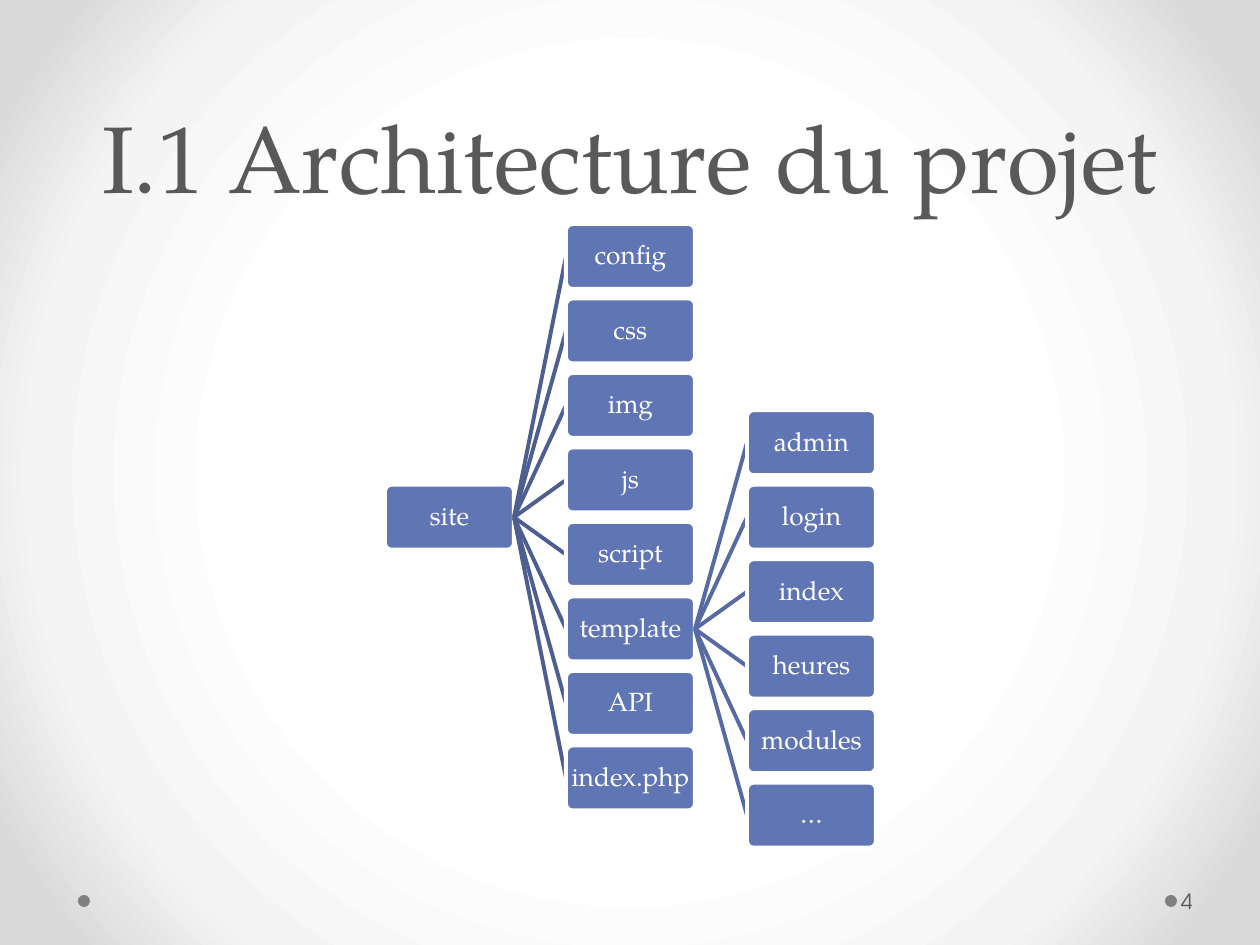
"""Build the project architecture slide with its folder tree."""
import dataclasses

import lxml.etree
import pptx
import pptx.dml.color
import pptx.enum.shapes
import pptx.enum.text
import pptx.oxml
import pptx.oxml.ns
import pptx.slide
import pptx.text.text
import pptx.util
from pptx.shapes.autoshape import Shape

EMU_PER_PX = 914400 / 126
COLORS = {
    "box": "6076B4", "white": "FFFFFF", "text": "595959", "dot": "808080",
    "first branch": "4D5E90", "second branch": "576BA3",
}
BACKGROUND_STOPS = ((50, "FFFFFF"), (76, "F4F4F4"), (92, "DADADA"))
SERIF, SANS = "TeX Gyre Pagella", "TeX Gyre Adventor"
TREE_LEFT, TREE_TOP = 385, 224
BOX_WIDTH, BOX_HEIGHT = 129, 65
COLUMN_STEP, HALF_ROW_STEP = 181, 37.25


@dataclasses.dataclass(frozen=True)
class Branch:
    """Children of one box, stacked from a row counted in half rows."""
    parent: str
    column: int
    first_half_row: int
    color: str
    children: tuple[str, ...]


ROOT, ROOT_HALF_ROW = "site", 7
BRANCHES = (
    Branch(ROOT, 1, 0, "first branch",
           ("config", "css", "img", "js", "script", "template", "API", "index.php")),
    Branch("template", 2, 5, "second branch",
           ("admin", "login", "index", "heures", "modules", "…")),
)


def px(length: float) -> pptx.util.Emu:
    """Turn pixels into EMU."""
    return pptx.util.Emu(round(length * EMU_PER_PX))


def rgb(name: str) -> pptx.dml.color.RGBColor:
    """Look up a named colour."""
    return pptx.dml.color.RGBColor.from_string(COLORS[name])


def write_text(frame: pptx.text.text.TextFrame, text: str, size: int, font: str, color: str,
               alignment: pptx.enum.text.PP_ALIGN, anchor: pptx.enum.text.MSO_ANCHOR) -> None:
    """Fill a text frame with one formatted paragraph."""
    frame.text = text
    frame.auto_size = pptx.enum.text.MSO_AUTO_SIZE.NONE
    frame.vertical_anchor = anchor
    paragraph = frame.paragraphs[0]
    paragraph.alignment = alignment
    for run in paragraph.runs:
        run.font.size = pptx.util.Pt(size)
        run.font.name = font
        run.font.color.rgb = rgb(color)


def paint_background(slide: pptx.slide.Slide) -> None:
    """Give the slide a circular gradient."""
    slide.background.fill.gradient()
    gradient = slide.background._cSld.find(".//" + pptx.oxml.ns.qn("a:gradFill"))
    stops = "".join(
        f'<a:gs pos="{position * 1000}"><a:srgbClr val="{color}"/></a:gs>'
        for position, color in BACKGROUND_STOPS)
    circle = pptx.oxml.parse_xml(
        f'<a:gradFill {pptx.oxml.ns.nsdecls("a")} rotWithShape="1"><a:gsLst>{stops}</a:gsLst>'
        '<a:path path="circle"><a:fillToRect l="50000" t="50000" r="50000" b="50000"/>'
        '</a:path></a:gradFill>')
    gradient.getparent().replace(gradient, circle)


def add_title(slide: pptx.slide.Slide, text: str) -> None:
    """Place and format the title placeholder."""
    title = slide.shapes.title
    title.left, title.top, title.width, title.height = px(63), px(0), px(1134), px(220)
    write_text(title.text_frame, text, 54, SERIF, "text",
               pptx.enum.text.PP_ALIGN.CENTER, pptx.enum.text.MSO_ANCHOR.BOTTOM)
    title.text_frame.paragraphs[0].line_spacing = 0.9


def add_dot(slide: pptx.slide.Slide, left: int) -> None:
    """Draw one footer dot."""
    dot = slide.shapes.add_shape(
        pptx.enum.shapes.MSO_SHAPE.OVAL, px(left), px(895), px(12), px(12))
    dot.shadow.inherit = False
    dot.fill.solid()
    dot.fill.fore_color.rgb = rgb("dot")
    dot.line.fill.background()


def add_box(slide: pptx.slide.Slide, text: str, column: int, half_row: int) -> Shape:
    """Draw one box of the tree."""
    box = slide.shapes.add_shape(
        pptx.enum.shapes.MSO_SHAPE.ROUNDED_RECTANGLE,
        px(TREE_LEFT + column * COLUMN_STEP), px(TREE_TOP + half_row * HALF_ROW_STEP),
        px(BOX_WIDTH), px(BOX_HEIGHT))
    box.adjustments[0] = 0.1
    box.shadow.inherit = False
    box.fill.solid()
    box.fill.fore_color.rgb = rgb("box")
    box.line.color.rgb = rgb("white")
    box.line.width = pptx.util.Pt(2.25)
    frame = box.text_frame
    frame.margin_left = frame.margin_right = frame.margin_top = frame.margin_bottom = px(1)
    frame.word_wrap = False
    write_text(frame, text, 15, SERIF, "white",
               pptx.enum.text.PP_ALIGN.CENTER, pptx.enum.text.MSO_ANCHOR.MIDDLE)
    frame.paragraphs[0].line_spacing = 0.9
    return box


def connect(slide: pptx.slide.Slide, parent: Shape, child: Shape, color: str) -> None:
    """Join a parent to a child with a line lying beneath the child."""
    connector = slide.shapes.add_connector(
        pptx.enum.shapes.MSO_CONNECTOR.STRAIGHT, 0, 0, 0, 0)
    connector.begin_connect(parent, 3)
    connector.end_connect(child, 1)
    connector.line.color.rgb = rgb(color)
    connector.line.width = pptx.util.Pt(2.25)
    lxml.etree.SubElement(connector._element.spPr, pptx.oxml.ns.qn("a:effectLst"))
    child._element.addprevious(connector._element)


def add_tree(slide: pptx.slide.Slide) -> None:
    """Draw the root and all its branches."""
    boxes = {ROOT: add_box(slide, ROOT, 0, ROOT_HALF_ROW)}
    for branch in BRANCHES:
        for index, name in enumerate(branch.children):
            boxes[name] = add_box(slide, name, branch.column, branch.first_half_row + 2 * index)
            connect(slide, boxes[branch.parent], boxes[name], branch.color)


def add_slide_number(slide: pptx.slide.Slide, text: str) -> None:
    """Write the slide number beside its dot."""
    number = slide.shapes.add_textbox(px(1177), px(876), px(77), px(50))
    frame = number.text_frame
    frame.word_wrap = True
    frame.margin_left = px(4)
    frame.margin_right = px(6)
    write_text(frame, text, 12, SANS, "text",
               pptx.enum.text.PP_ALIGN.LEFT, pptx.enum.text.MSO_ANCHOR.MIDDLE)


def main() -> None:
    """Build and save the presentation."""
    presentation = pptx.Presentation()
    presentation.slide_width, presentation.slide_height = px(1260), px(945)
    slide = presentation.slides.add_slide(presentation.slide_layouts[5])
    paint_background(slide)
    for left in (1165, 78):
        add_dot(slide, left)
    add_title(slide, "I.1 Architecture du projet")
    add_tree(slide)
    add_slide_number(slide, "4")
    presentation.save("out.pptx")


if __name__ == "__main__":
    main()
